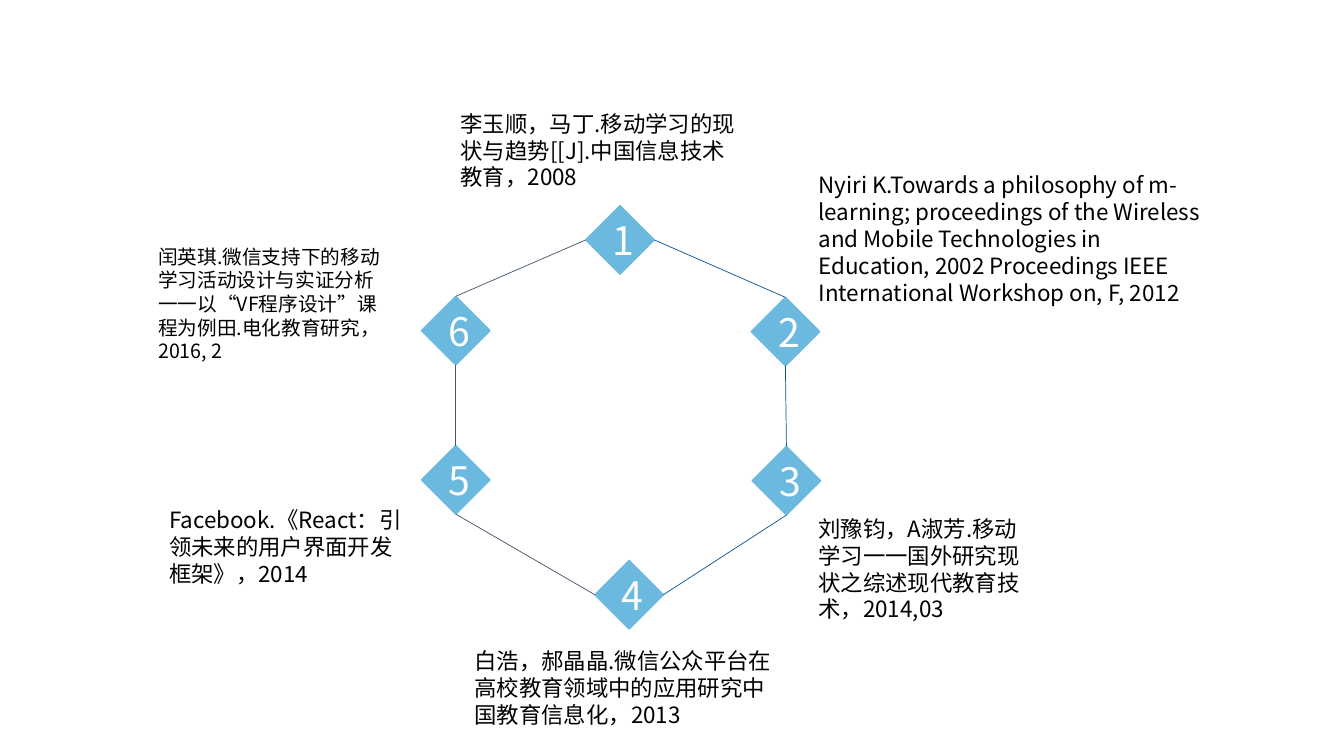
"""Build a slide with six numbered references around a hexagon."""
import pptx
import pptx.dml.color
import pptx.enum.shapes
import pptx.enum.text
import pptx.oxml.ns
import pptx.util
from lxml import etree

Inches = pptx.util.Inches
FONT = "Noto Sans CJK SC"
COLORS = {"diamond": "6CB9E0", "number": "FFFFFF", "text": "000000",
          "blue": "0C528E", "slate": "44546A"}
DIAMOND_SIZE = 0.68
TOP, LEFT, BOTTOM, RIGHT = range(4)

DIAMONDS = [(5.81, 2.04), (7.45, 2.95), (7.46, 4.43),
            (5.9, 5.56), (4.18, 4.42), (4.18, 2.94)]

LINKS = [
    (1, RIGHT, 2, TOP, "blue"),
    (2, BOTTOM, 3, TOP, "blue"),
    (3, BOTTOM, 4, RIGHT, "blue"),
    (4, LEFT, 5, BOTTOM, "slate"),
    (5, TOP, 6, BOTTOM, "slate"),
    (6, TOP, 1, LEFT, "slate"),
]

REFERENCES = [
    ((4.47, 1.04, 2.98, 0.91), 16,
     "李玉顺，马丁.移动学习的现状与趋势[[J].中国信息技术教育，2008"),
    ((8.02, 1.65, 4.11, 1.45), 16,
     "Nyiri K.Towards a philosophy of m-learning; proceedings of the Wireless and "
     "Mobile Technologies in Education, 2002 Proceedings IEEE International "
     "Workshop on, F, 2012"),
    ((8.02, 5.06, 2.23, 1.18), 16,
     "刘豫钧，A淑芳.移动学习一一国外研究现状之综述现代教育技术，2014,03"),
    ((4.61, 6.37, 3.24, 0.91), 16,
     "白浩，郝晶晶.微信公众平台在高校教育领域中的应用研究中国教育信息化，2013"),
    ((1.58, 4.97, 2.51, 0.91), 16,
     "Facebook.《React：引领未来的用户界面开发框架》，2014"),
    ((1.47, 2.38, 2.51, 1.28), 14,
     "闰英琪.微信支持下的移动学习活动设计与实证分析一一以“VF程序设计”课程为例田."
     "电化教育研究，2016, 2"),
]


def rgb(name):
    return pptx.dml.color.RGBColor.from_string(COLORS[name])


def write(shape, text, size, color):
    paragraph = shape.text_frame.paragraphs[0]
    paragraph.text = text
    font = paragraph.font
    font.size = pptx.util.Pt(size)
    font.color.rgb = rgb(color)
    font.name = FONT
    properties = paragraph._p.pPr.find(pptx.oxml.ns.qn("a:defRPr"))
    etree.SubElement(properties, pptx.oxml.ns.qn("a:ea"), typeface=FONT)
    return paragraph


def add_diamond(slide, number, left, top):
    shape = slide.shapes.add_shape(
        pptx.enum.shapes.MSO_SHAPE.DIAMOND,
        *map(Inches, (left, top, DIAMOND_SIZE, DIAMOND_SIZE)))
    shape.shadow.inherit = False
    shape.fill.solid()
    shape.fill.fore_color.rgb = rgb("diamond")
    shape.line.color.rgb = rgb("diamond")
    shape.line.width = pptx.util.Pt(1)
    shape.text_frame.vertical_anchor = pptx.enum.text.MSO_ANCHOR.MIDDLE
    paragraph = write(shape, str(number), 28, "number")
    paragraph.alignment = pptx.enum.text.PP_ALIGN.CENTER
    return shape


def add_link(slide, start, start_side, end, end_side, color):
    connector = slide.shapes.add_connector(
        pptx.enum.shapes.MSO_CONNECTOR.STRAIGHT, 0, 0, 0, 0)
    connector.begin_connect(start, start_side)
    connector.end_connect(end, end_side)
    connector.line.color.rgb = rgb(color)
    connector.line.width = pptx.util.Pt(0.5)
    etree.SubElement(connector._element.spPr, pptx.oxml.ns.qn("a:effectLst"))


def add_reference(slide, box, size, text):
    shape = slide.shapes.add_textbox(*map(Inches, box))
    shape.text_frame.word_wrap = True
    shape.text_frame.auto_size = pptx.enum.text.MSO_AUTO_SIZE.SHAPE_TO_FIT_TEXT
    write(shape, text, size, "text")


def main():
    presentation = pptx.Presentation()
    presentation.slide_width = Inches(13.33)
    presentation.slide_height = Inches(7.5)
    slide = presentation.slides.add_slide(presentation.slide_layouts[6])
    diamonds = {number: add_diamond(slide, number, *position)
                for number, position in enumerate(DIAMONDS, 1)}
    for start, start_side, end, end_side, color in LINKS:
        add_link(slide, diamonds[start], start_side, diamonds[end], end_side, color)
    for box, size, text in REFERENCES:
        add_reference(slide, box, size, text)
    presentation.save("out.pptx")


if __name__ == "__main__":
    main()
